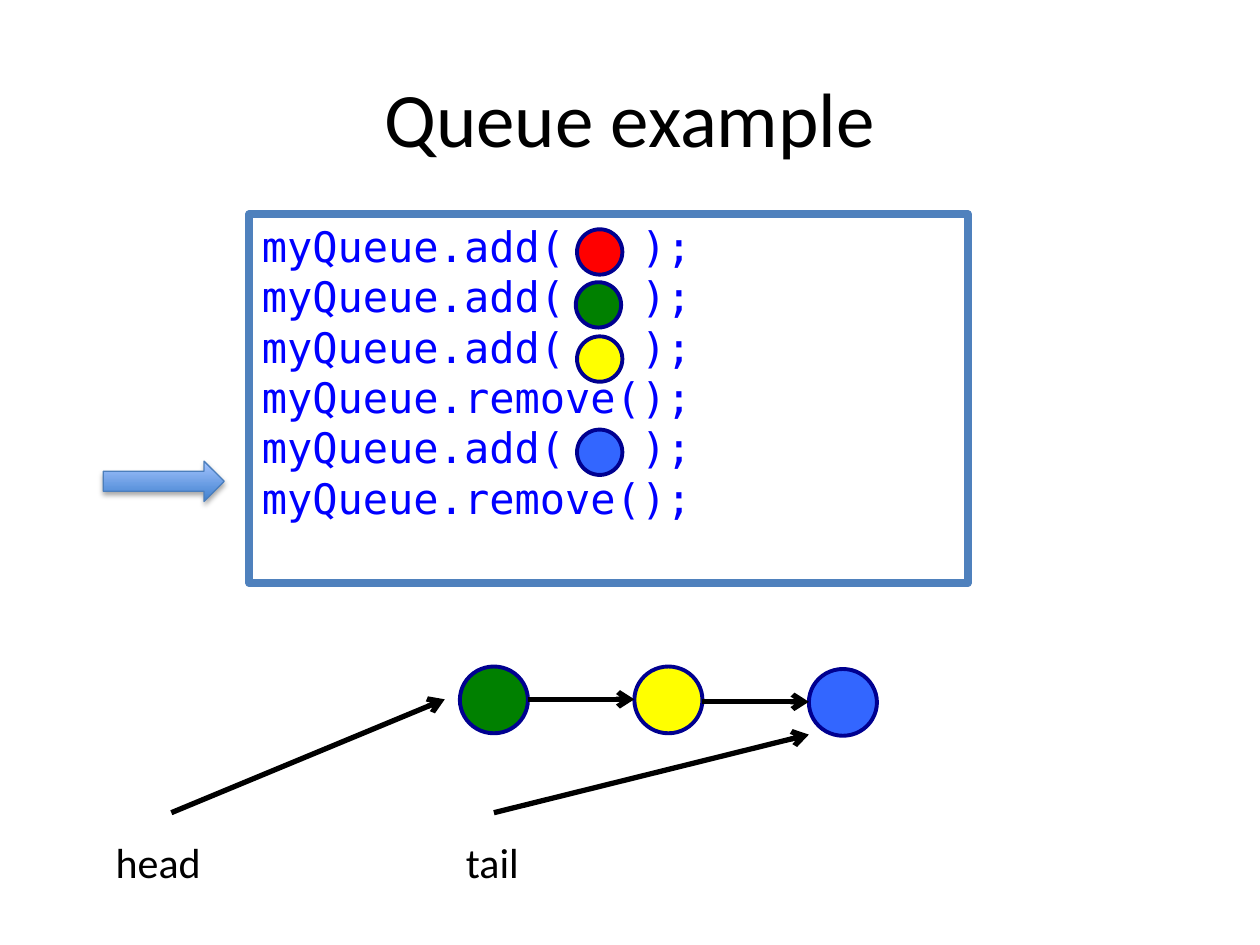
from lxml.etree import SubElement
from pptx import Presentation
from pptx.dml.color import RGBColor
from pptx.enum.shapes import MSO_CONNECTOR, MSO_SHAPE
from pptx.enum.text import MSO_ANCHOR, PP_ALIGN
from pptx.oxml.ns import qn
from pptx.util import Inches, Pt

CELL = Inches(0.1)
COLS, ROWS = 100, 75
RED, GREEN, YELLOW, BLUE = "FF0000", "008000", "FFFF00", "3366FF"
BLACK, NAVY = "000000", "000090"


def grid(*cells):
    """Turn counts of grid cells into lengths."""
    return [round(CELL * n) for n in cells]


def tint(color, code):
    """Set a colour from a hex string."""
    color.rgb = RGBColor.from_string(code)


def node(parent, tag, **attrs):
    """Add a drawing element with its attributes."""
    return SubElement(parent, qn(tag), {k: str(v) for k, v in attrs.items()})


def stroke(line, code, width):
    """Give a line its colour and width."""
    tint(line.color, code)
    line.width = Pt(width)


def text(slide, box, lines, font, size, code):
    """Add a text box with one run per line."""
    shape = slide.shapes.add_textbox(*grid(*box))
    frame = shape.text_frame
    frame.word_wrap = True
    for i, words in enumerate(lines):
        para = frame.add_paragraph() if i else frame.paragraphs[0]
        run = para.add_run()
        run.text = words
        run.font.name = font
        run.font.size = Pt(size)
        tint(run.font.color, code)
    return shape


def title(slide, words):
    """Add the centred title."""
    frame = text(slide, (5, 3, 90, 12.5), [words], "Calibri", 44, BLACK).text_frame
    frame.vertical_anchor = MSO_ANCHOR.MIDDLE
    frame.paragraphs[0].alignment = PP_ALIGN.CENTER


def code(slide, lines):
    """Add the framed code listing."""
    shape = text(slide, (19.8, 17, 57, 29.3), lines, "DejaVu Sans Mono", 24, "0000FF")
    stroke(shape.line, "4F81BD", 4.5)


def labels(slide, words, stop):
    """Add the pointer names, parted by a tab stop."""
    shape = text(slide, (8.2, 65.9, 34.4, 5), ["\t".join(words)], "Calibri", 24, BLACK)
    props = shape.text_frame.paragraphs[0]._p.get_or_add_pPr()
    node(node(props, "a:tabLst"), "a:tab", pos=grid(stop)[0], algn="l")


def ball(slide, x, y, w, h, fill):
    """Add a round queue item."""
    shape = slide.shapes.add_shape(MSO_SHAPE.OVAL, *grid(x, y, w, h))
    shape.shadow.inherit = False
    shape.fill.solid()
    tint(shape.fill.fore_color, fill)
    stroke(shape.line, NAVY, 2.25)


def marker(slide, box):
    """Add the shaded block arrow that marks the current step."""
    shape = slide.shapes.add_shape(MSO_SHAPE.RIGHT_ARROW, *grid(*box))
    shape.fill.gradient()
    shape.fill.gradient_angle = 90
    for stop, shade in zip(shape.fill.gradient_stops, ("3F80CE", "A4C4FF")):
        tint(stop.color, shade)
    stroke(shape.line, "4B7EBC", 0.75)
    effects = node(shape._element.spPr, "a:effectLst")
    shadow = node(effects, "a:outerShdw", blurRad=Pt(3.1), dist=Pt(1.8),
                  dir=90 * 60000, rotWithShape=0)
    node(node(shadow, "a:srgbClr", val=BLACK), "a:alpha", val=35000)


def arrow(slide, *ends):
    """Add a straight line with an open arrowhead."""
    link = slide.shapes.add_connector(MSO_CONNECTOR.STRAIGHT, *grid(*ends))
    stroke(link.line, BLACK, 3)
    node(link.line._get_or_add_ln(), "a:tailEnd", type="arrow")
    node(link._element.spPr, "a:effectLst")


def main():
    """Build the slide and save it."""
    deck = Presentation()
    deck.slide_width, deck.slide_height = grid(COLS, ROWS)
    slide = deck.slides.add_slide(deck.slide_layouts[6])
    title(slide, "Queue example")
    add, remove = "myQueue.add(   );", "myQueue.remove();"
    code(slide, [add, add, add, remove, add, remove])
    for x, y, fill in ((45.8, 18.2, RED), (45.7, 22.4, GREEN),
                       (45.8, 26.7, YELLOW), (45.8, 34.1, BLUE)):
        ball(slide, x, y, 3.6, 3.6, fill)
    marker(slide, (8.2, 36.6, 9.6, 3.2))
    labels(slide, ("head", "tail"), 27.8)
    arrow(slide, 13.6, 64.5, 35.3, 55.5)
    arrow(slide, 39.2, 64.5, 64.2, 58.3)
    left, step, wide = 36.5, 13.85, 5.4
    for i, (y, fill) in enumerate(((52.9, GREEN), (52.9, YELLOW), (53.1, BLUE))):
        x = left + i * step
        ball(slide, x, y, wide, 5.3, fill)
        if i:
            arrow(slide, x - step + wide, 55.3 + i * 0.2, x, 55.3 + i * 0.2)
    deck.save("out.pptx")


if __name__ == "__main__":
    main()
